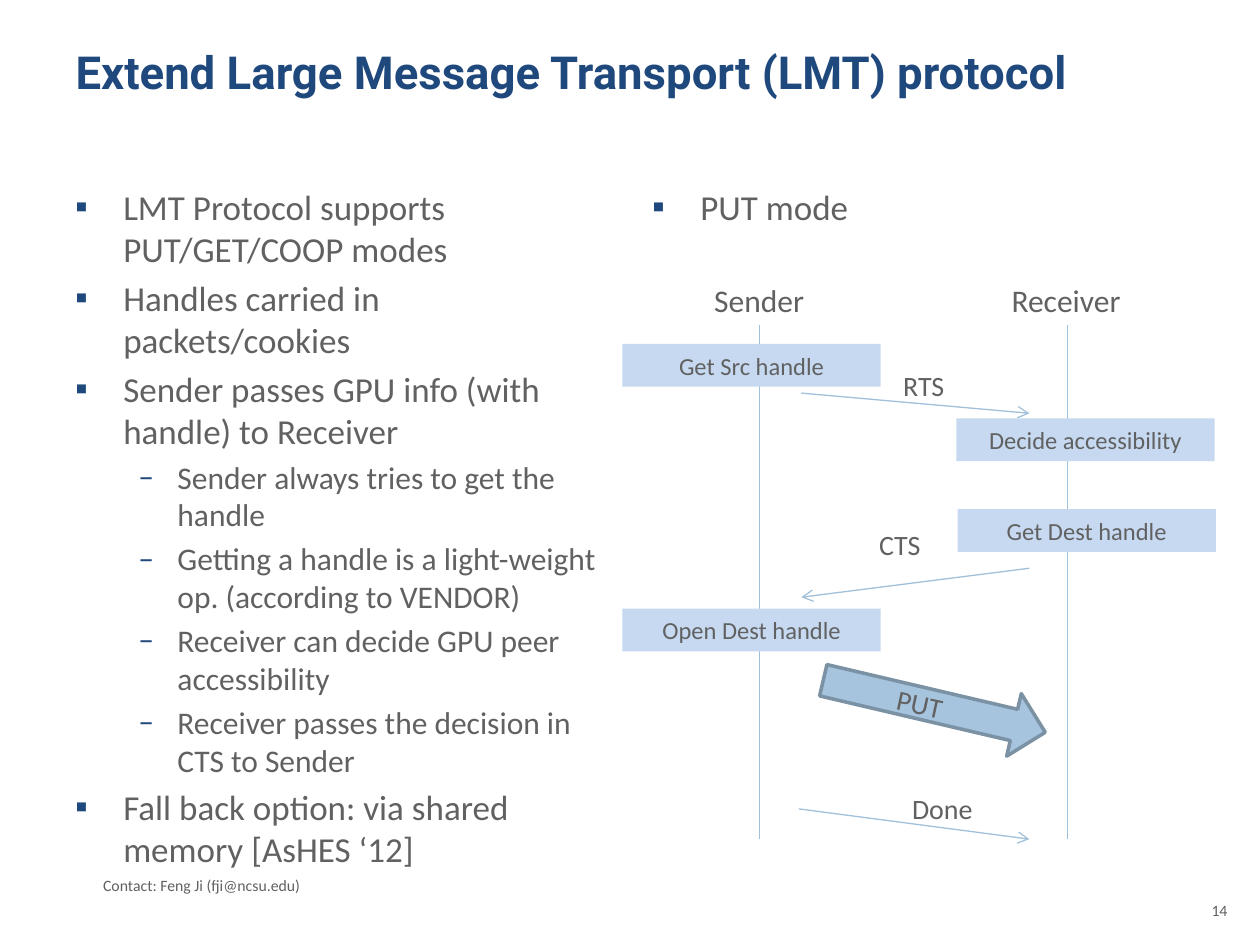
from lxml import etree
from pptx import Presentation
from pptx.dml.color import RGBColor
from pptx.enum.shapes import MSO_CONNECTOR, MSO_SHAPE
from pptx.enum.text import MSO_ANCHOR as ANCHOR, PP_ALIGN as ALIGN
from pptx.oxml.ns import qn
from pptx.util import Inches, Pt

COLORS = {"title": "1F497D", "text": "616161", "line": "A1C0DA", "box": "C6D9F1",
          "arrow": "A6C4DE", "arrow_edge": "7B91A4"}
# level: (bullet, left margin, hanging indent, size, space before)
LEVELS = {0: ("▪", 0.38, 0.38, 20, 4), 1: ("–", 0.81, 0.31, 18, 3.6)}

POINTS = [
    (0, "LMT Protocol supports PUT/GET/COOP modes"),
    (0, "Handles carried in packets/cookies"),
    (0, "Sender passes GPU info (with handle) to Receiver"),
    (1, "Sender always tries to get the handle"),
    (1, "Getting a handle is a light-weight op. (according to VENDOR)"),
    (1, "Receiver can decide GPU peer accessibility"),
    (1, "Receiver passes the decision in CTS to Sender"),
    (0, "Fall back option: via shared memory [AsHES ‘12]"),
]
LIFELINES = [("Sender", 6.03, 0.92), ("Receiver", 8.47, 1.08)]
LIFELINE_TOP, LIFELINE_BOTTOM = 2.58, 6.66
STEPS = [("Get Src handle", 4.94, 2.73), ("Decide accessibility", 7.59, 3.32),
         ("Get Dest handle", 7.6, 4.04), ("Open Dest handle", 4.94, 4.83)]
# message: arrow start, arrow end, label box
MESSAGES = [("RTS", (6.36, 3.12), (8.17, 3.28), (7.07, 2.88, 0.53, 0.37)),
            ("CTS", (8.17, 4.51), (6.36, 4.74), (6.88, 4.14, 0.53, 0.37)),
            ("Done", (6.34, 6.42), (8.17, 6.66), (7.14, 6.23, 0.69, 0.37))]


def rgb(name):
    return RGBColor.from_string(COLORS[name])


def write(p, text, size=16, color="text", font="Calibri", bold=False, align=ALIGN.LEFT):
    p.alignment = align
    r = p.add_run()
    r.text = text
    r.font.size, r.font.name, r.font.bold = Pt(size), font, bold
    r.font.color.rgb = rgb(color)


def add_text(shapes, box, text, wrap=False, **fmt):
    sp = shapes.add_textbox(*map(Inches, box))
    sp.text_frame.word_wrap = wrap
    write(sp.text_frame.paragraphs[0], text, **fmt)
    return sp


def set_bullet(p, level):
    char, margin, hang = LEVELS[level][:3]
    p.level = level
    pPr = p._p.get_or_add_pPr()
    pPr.set("marL", str(Inches(margin)))
    pPr.set("indent", str(-Inches(hang)))
    clr = etree.SubElement(pPr, qn("a:buClr"))
    etree.SubElement(clr, qn("a:srgbClr"), val=COLORS["title"])
    etree.SubElement(pPr, qn("a:buFont"), typeface="Calibri")
    etree.SubElement(pPr, qn("a:buChar"), char=char)


def add_bullets(shapes, box, items):
    tf = shapes.add_textbox(*map(Inches, box)).text_frame
    tf.word_wrap = True
    for i, (level, text) in enumerate(items):
        p = tf.add_paragraph() if i else tf.paragraphs[0]
        set_bullet(p, level)
        size, before = LEVELS[level][3:]
        if i:
            p.space_before = Pt(before)
        write(p, text, size=size)


def add_line(shapes, start, end, arrow=False):
    line = shapes.add_connector(MSO_CONNECTOR.STRAIGHT, *map(Inches, (*start, *end)))
    line.line.color.rgb = rgb("line")
    line.line.width = Pt(0.75)
    if arrow:
        etree.SubElement(line.line._get_or_add_ln(), qn("a:tailEnd"), type="arrow")
    etree.SubElement(line._element.spPr, qn("a:effectLst"))


def add_shape(shapes, kind, box, fill):
    sp = shapes.add_shape(kind, *map(Inches, box))
    sp.shadow.inherit = False
    sp.fill.solid()
    sp.fill.fore_color.rgb = rgb(fill)
    sp.line.fill.background()
    return sp


def add_step(shapes, text, left, top):
    sp = add_shape(shapes, MSO_SHAPE.RECTANGLE, (left, top, 2.05, 0.34), "box")
    sp.text_frame.vertical_anchor = ANCHOR.MIDDLE
    write(sp.text_frame.paragraphs[0], text, size=14, align=ALIGN.CENTER)


def add_put_arrow(shapes):
    group = shapes.add_group_shape().shapes
    arrow = add_shape(group, MSO_SHAPE.DOWN_ARROW, (7.16, 4.7, 0.51, 1.81), "arrow")
    arrow.rotation = 283.2
    arrow.line.color.rgb = rgb("arrow_edge")
    arrow.line.width = Pt(2)
    add_text(group, (7.02, 5.4, 0.57, 0.37), "PUT").rotation = 12.2


def add_title(slide, text):
    title = slide.shapes.title
    title.left, title.top, title.width, title.height = map(Inches, (0.5, 0.3, 9, 1.03))
    title.text_frame.vertical_anchor = ANCHOR.TOP
    write(title.text_frame.paragraphs[0], text, size=26, color="title",
          font="Roboto", bold=True)


def main():
    prs = Presentation()
    prs.slide_width, prs.slide_height = Inches(10), Inches(7.5)
    slide = prs.slides.add_slide(prs.slide_layouts[5])
    shapes = slide.shapes

    add_title(slide, "Extend Large Message Transport (LMT) protocol")
    add_bullets(shapes, (0.5, 1.42, 4.42, 5.28), POINTS)
    add_bullets(shapes, (5.08, 1.42, 4.42, 5.28), [(0, "PUT mode")])

    for name, x, width in LIFELINES:
        add_text(shapes, (x - width / 2, 2.18, width, 0.4), name, size=18)
        add_line(shapes, (x, LIFELINE_TOP), (x, LIFELINE_BOTTOM))
    for name, start, end, label_box in MESSAGES:
        add_line(shapes, start, end, arrow=True)
        add_text(shapes, label_box, name)
    add_put_arrow(shapes)
    for step in STEPS:
        add_step(shapes, *step)

    add_text(shapes, (0.72, 6.9, 6.5, 0.25), "Contact: Feng Ji (fji@ncsu.edu)",
             wrap=True, size=9)
    add_text(shapes, (9.42, 7.1, 0.42, 0.4), "14", wrap=True, size=9, align=ALIGN.RIGHT)
    prs.save("out.pptx")


if __name__ == "__main__":
    main()
